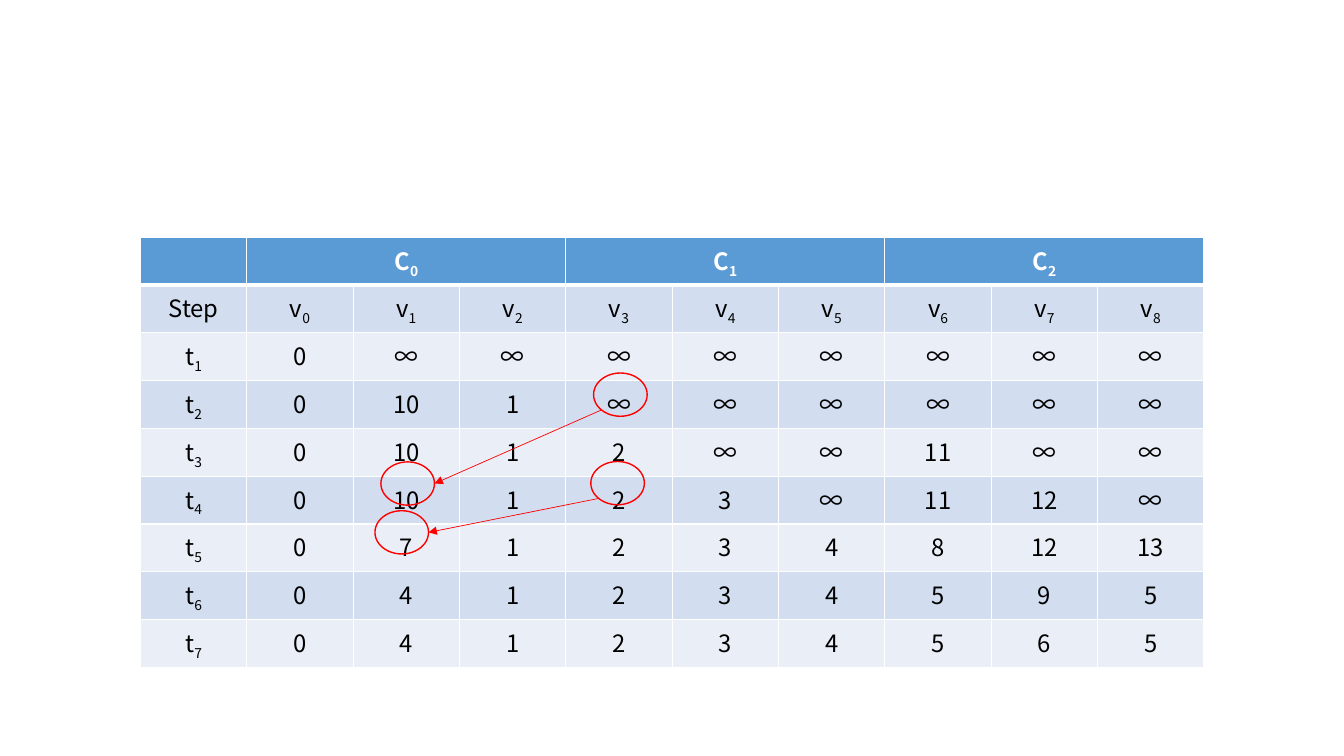
import math

import pptx
import pptx.dml.color
import pptx.enum.shapes
import pptx.enum.text
import pptx.oxml.ns
import pptx.util
from lxml import etree

Cm = pptx.util.Cm
COLORS = {
    "header": "5B9BD5",
    "dark band": "D2DEEF",
    "light band": "EAEFF7",
    "white": "FFFFFF",
    "black": "000000",
    "mark": "FF0000",
}
DISTANCES = [
    "0 ∞ ∞ ∞ ∞ ∞ ∞ ∞ ∞",
    "0 10 1 ∞ ∞ ∞ ∞ ∞ ∞",
    "0 10 1 2 ∞ ∞ 11 ∞ ∞",
    "0 10 1 2 3 ∞ 11 12 ∞",
    "0 7 1 2 3 4 8 12 13",
    "0 4 1 2 3 4 5 9 5",
    "0 4 1 2 3 4 5 6 5",
]
GROUP_SIZE = 3
RING_WIDTH, RING_HEIGHT = 1.35, 1.09


def rgb(name):
    return pptx.dml.color.RGBColor.from_string(COLORS[name])


def add_element(parent, tag, **attributes):
    return etree.SubElement(parent, pptx.oxml.ns.qn(tag), attributes)


class SlideBuilder:
    font_name = "Noto Sans CJK SC"
    font_size = pptx.util.Pt(17)

    def __init__(self, slide):
        self.slide = slide

    def cell_text(self, cell, text, color, bold):
        """Set centred text; digits after a letter become a subscript."""
        paragraph = cell.text_frame.paragraphs[0]
        paragraph.alignment = pptx.enum.text.PP_ALIGN.CENTER
        font = paragraph.font
        font.size, font.bold = self.font_size, bold
        font.color.rgb = rgb(color)
        font.name = self.font_name
        defaults = paragraph._p.pPr.find(pptx.oxml.ns.qn("a:defRPr"))
        add_element(defaults, "a:ea", typeface=self.font_name)
        has_index = text[:1].isalpha() and text[1:].isdigit()
        for part in (text[0], text[1:]) if has_index else (text,):
            if part:
                paragraph.add_run().text = part
        if has_index:
            paragraph.runs[1].font._element.set("baseline", "-25000")

    def border(self, cell, **widths):
        """Draw white borders; widths are points by side, 1 if not given."""
        properties = cell._tc.get_or_add_tcPr()
        for position, side in enumerate("LRTB"):
            width = pptx.util.Pt(widths.get(side, 1))
            line = add_element(properties, f"a:ln{side}", w=str(int(width)))
            fill = add_element(line, "a:solidFill")
            add_element(fill, "a:srgbClr", val=COLORS["white"])
            properties.insert(position, line)

    def table(self, rows, left, top, column_width, row_height):
        count = len(rows[0])
        table = self.slide.shapes.add_table(
            len(rows), count, Cm(left), Cm(top),
            Cm(column_width * count), Cm(row_height * len(rows))).table
        for column in table.columns:
            column.width = Cm(column_width)
        for row_index, values in enumerate(rows):
            table.rows[row_index].height = Cm(row_height)
            header = row_index == 0
            band = "dark band" if row_index % 2 else "light band"
            for column_index, text in enumerate(values):
                cell = table.cell(row_index, column_index)
                cell.fill.solid()
                cell.fill.fore_color.rgb = rgb("header" if header else band)
                self.border(cell, B=3 if header else 1,
                            T=3 if row_index == 1 else 1)
                self.cell_text(cell, text, "white" if header else "black", header)
        return table

    def ring(self, left, top):
        shape = self.slide.shapes.add_shape(
            pptx.enum.shapes.MSO_SHAPE.OVAL,
            Cm(left), Cm(top), Cm(RING_WIDTH), Cm(RING_HEIGHT))
        shape.shadow.inherit = False
        shape.fill.background()
        shape.line.color.rgb = rgb("mark")
        shape.line.width = pptx.util.Pt(1)
        return shape

    def arrow(self, source, target):
        """Join the lower left of one ring to the right side of another."""
        diagonal = math.sqrt(0.5)
        connector = self.slide.shapes.add_connector(
            pptx.enum.shapes.MSO_CONNECTOR.STRAIGHT,
            int(source.left + source.width * (1 - diagonal) / 2),
            int(source.top + source.height * (1 + diagonal) / 2),
            target.left + target.width, target.top + target.height // 2)
        connector.line.color.rgb = rgb("mark")
        connector.line.width = pptx.util.Pt(0.5)
        add_element(connector.line._get_or_add_ln(), "a:tailEnd", type="triangle")
        add_element(connector._element.spPr, "a:effectLst")


def main():
    presentation = pptx.Presentation()
    presentation.slide_width = Cm(33.87)
    presentation.slide_height = Cm(19.05)
    builder = SlideBuilder(
        presentation.slides.add_slide(presentation.slide_layouts[6]))

    # Distance table: groups, vertices, then one row per step
    vertex_count = len(DISTANCES[0].split())
    groups = [f"C{index // GROUP_SIZE}" if index % GROUP_SIZE == 0 else ""
              for index in range(vertex_count)]
    rows = [[""] + groups,
            ["Step"] + [f"v{index}" for index in range(vertex_count)]]
    rows += [[f"t{step}"] + line.split()
             for step, line in enumerate(DISTANCES, start=1)]
    table = builder.table(rows, left=3.54, top=5.98,
                          column_width=2.68, row_height=1.15)
    for first in range(1, vertex_count + 1, GROUP_SIZE):
        table.cell(0, first).merge(table.cell(0, first + GROUP_SIZE - 1))

    # Rings around the changed values
    v3_at_t2 = builder.ring(14.96, 9.4)
    v1_at_t4 = builder.ring(9.6, 11.64)
    v1_at_t5 = builder.ring(9.45, 12.87)
    v3_at_t4 = builder.ring(14.89, 11.63)

    # Arrows from each v3 value to the v1 value it updates
    builder.arrow(v3_at_t2, v1_at_t4)
    builder.arrow(v3_at_t4, v1_at_t5)

    presentation.save("out.pptx")


if __name__ == "__main__":
    main()
